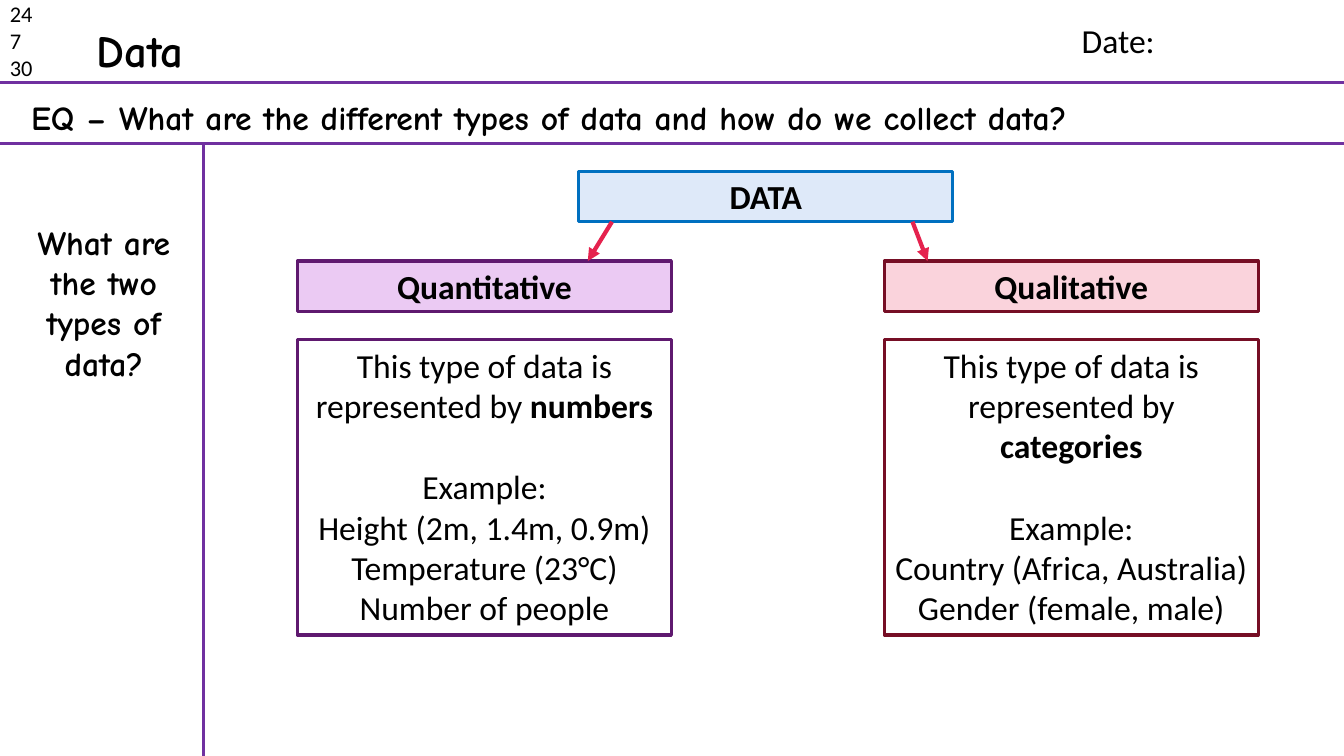
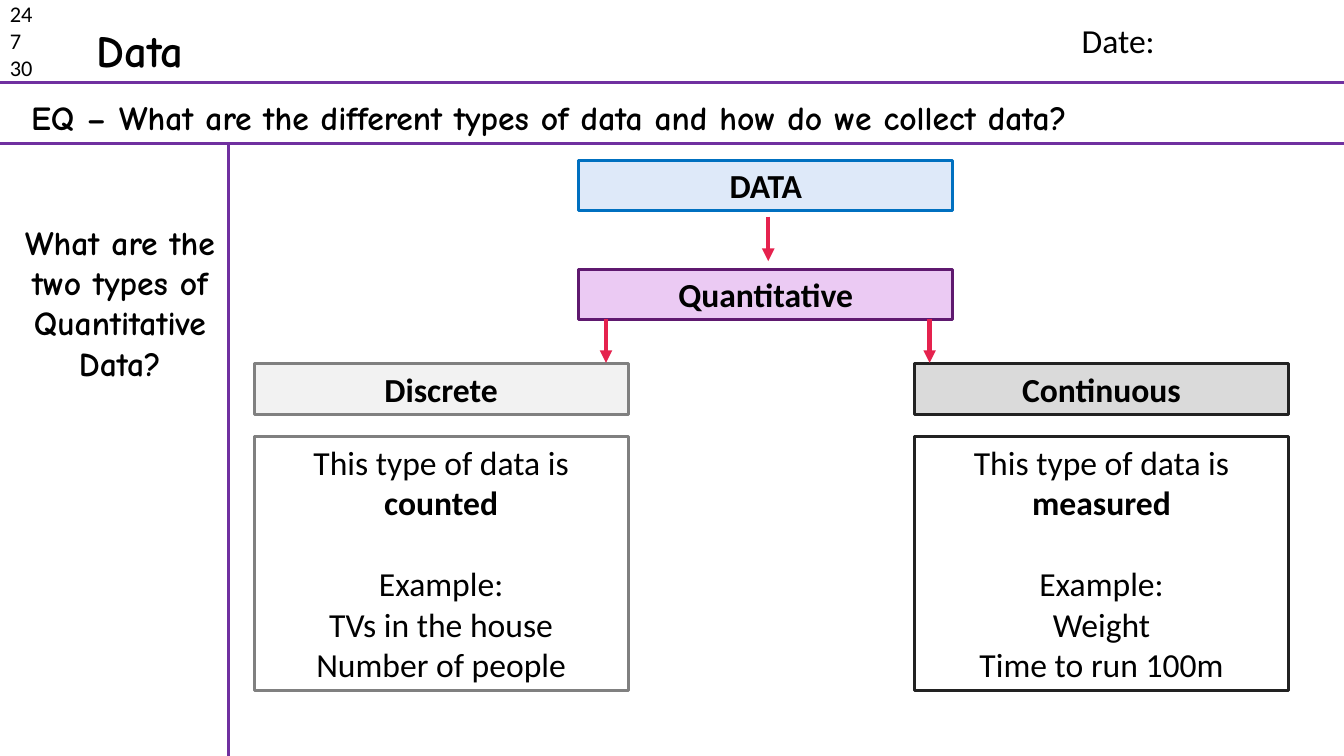
from lxml import etree
from pptx import Presentation
from pptx.dml.color import RGBColor
from pptx.enum.shapes import MSO_CONNECTOR, MSO_SHAPE
from pptx.enum.text import MSO_ANCHOR, PP_ALIGN
from pptx.oxml.ns import qn
from pptx.util import Inches, Pt

COLORS = {
    "text": "000000", "rule": "7030A0", "arrow": "E5224E",
    "blue": "0070C0", "blue_fill": "DEE9F9",
    "purple": "5F196F", "purple_fill": "EBCAF3",
    "red": "760E25", "red_fill": "FAD3DC",
    "gray": "808080", "gray_fill": "F2F2F2",
    "black": "222222", "black_fill": "DADADA",
}
BODY_FONT, NOTE_FONT = "Calibri", "Comic Neue"
SLIDE_W, SLIDE_H = 13.33, 7.5
NODE_W, NODE_H = 3.71, 0.5
TOP_RULE, EQ_RULE = 0.82, 1.42
ROOT_X = 5.74
LINE_GAP = 29.3  # one 24 pt line, in points


def rgb(name):
    return RGBColor.from_string(COLORS[name])


def add_run(p, text, size=24, font=BODY_FONT, bold=False):
    r = p.add_run()
    r.text = text
    r.font.size, r.font.name, r.font.bold = Pt(size), font, bold
    r.font.color.rgb = rgb("text")


def write(sp, lines, align=PP_ALIGN.LEFT, gap_before=None, **fmt):
    """Each line is a string, or a (plain, bold) pair."""
    tf = sp.text_frame
    tf.word_wrap = True
    tf.vertical_anchor = MSO_ANCHOR.TOP
    for i, line in enumerate(lines):
        p = tf.paragraphs[0] if i == 0 else tf.add_paragraph()
        p.alignment = align
        if i == gap_before:
            p.space_before = Pt(LINE_GAP)
        if isinstance(line, tuple):
            add_run(p, line[0], **fmt)
            add_run(p, line[1], **{**fmt, "bold": True})
        else:
            add_run(p, line, **fmt)


def label(s, x, y, w, h, *lines, **fmt):
    sp = s.shapes.add_textbox(Inches(x), Inches(y), Inches(w), Inches(h))
    write(sp, lines, **fmt)


def box(s, x, y, h, lines, color, filled=False, **fmt):
    sp = s.shapes.add_shape(MSO_SHAPE.RECTANGLE, Inches(x), Inches(y),
                            Inches(NODE_W), Inches(h))
    sp.shadow.inherit = False
    if filled:
        sp.fill.solid()
        sp.fill.fore_color.rgb = rgb(color + "_fill")
    else:
        sp.fill.background()
    sp.line.color.rgb = rgb(color)
    sp.line.width = Pt(2.25)
    write(sp, lines, align=PP_ALIGN.CENTER, **fmt)


def node(s, x, y, text, color):
    box(s, x, y, NODE_H, [text], color, filled=True, bold=True)


def detail(s, x, y, h, kind, examples, color):
    box(s, x, y, h, [kind, "Example:", *examples], color, gap_before=1)


def line(s, x1, y1, x2, y2, color="rule", width=2.25):
    c = s.shapes.add_connector(MSO_CONNECTOR.STRAIGHT, Inches(x1), Inches(y1),
                               Inches(x2), Inches(y2))
    c.line.color.rgb = rgb(color)
    c.line.width = Pt(width)
    etree.SubElement(c._element.spPr, qn("a:effectLst"))
    return c


def arrow(s, x1, y1, x2, y2):
    c = line(s, x1, y1, x2, y2, "arrow", 3)
    etree.SubElement(c.line._get_or_add_ln(), qn("a:tailEnd"), type="triangle")


def notes_page(prs, question, margin_x, question_w):
    """Blank slide with the shared header, rules and margin question."""
    s = prs.slides.add_slide(prs.slide_layouts[6])
    for y in (TOP_RULE, EQ_RULE):
        line(s, 0, y, SLIDE_W, y)
    line(s, margin_x, EQ_RULE, margin_x, SLIDE_H)
    label(s, 0, -0.05, 0.63, 0.91, "24", "7", "30", size=16)
    label(s, 0.86, 0.18, 1.16, 0.64, "Data", size=32, font=NOTE_FONT, bold=True)
    label(s, 10.63, 0.15, 2.36, 0.5, "Date:")
    label(s, 0.21, 0.91, 11.6, 0.5,
          "EQ – What are the different types of data and how do we collect data?",
          font=NOTE_FONT, bold=True)
    label(s, 0.09, 2.15, question_w, 1.72, question,
          align=PP_ALIGN.CENTER, font=NOTE_FONT, bold=True)
    return s


def data_types(prs):
    s = notes_page(prs, "What are the two types of data?", 2.02, 1.88)
    node(s, ROOT_X, 1.7, "DATA", "blue")
    branches = [
        (2.95, "Quantitative", "purple", "numbers",
         ["Height (2m, 1.4m, 0.9m)", "Temperature (23°C)", "Number of people"]),
        (8.77, "Qualitative", "red", "categories",
         ["Country (Africa, Australia)", "Gender (female, male)"]),
    ]
    for x, name, color, kind, examples in branches:
        node(s, x, 2.59, name, color)
        detail(s, x, 3.37, 2.93,
               ("This type of data is represented by ", kind), examples, color)
    arrow(s, 6.07, 2.2, 5.83, 2.59)
    arrow(s, 9.05, 2.2, 9.2, 2.59)


def quantitative_types(prs):
    s = notes_page(prs, "What are the two types of Quantitative Data?", 2.27, 2.2)
    node(s, ROOT_X, 1.59, "DATA", "blue")
    node(s, ROOT_X, 2.67, "Quantitative", "purple")
    branches = [
        (2.52, "Discrete", "gray", "counted",
         ["TVs in the house", "Number of people"]),
        (9.07, "Continuous", "black", "measured",
         ["Weight", "Time to run 100m"]),
    ]
    for x, name, color, kind, examples in branches:
        node(s, x, 3.61, name, color)
        detail(s, x, 4.33, 2.52, ("This type of data is ", kind), examples, color)
    for x, y in ((7.62, 2.15), (6.01, 3.16), (9.22, 3.16)):
        arrow(s, x, y, x, y + 0.44)


def main():
    prs = Presentation()
    prs.slide_width, prs.slide_height = Inches(SLIDE_W), Inches(SLIDE_H)
    data_types(prs)
    quantitative_types(prs)
    prs.save("out.pptx")


if __name__ == "__main__":
    main()
